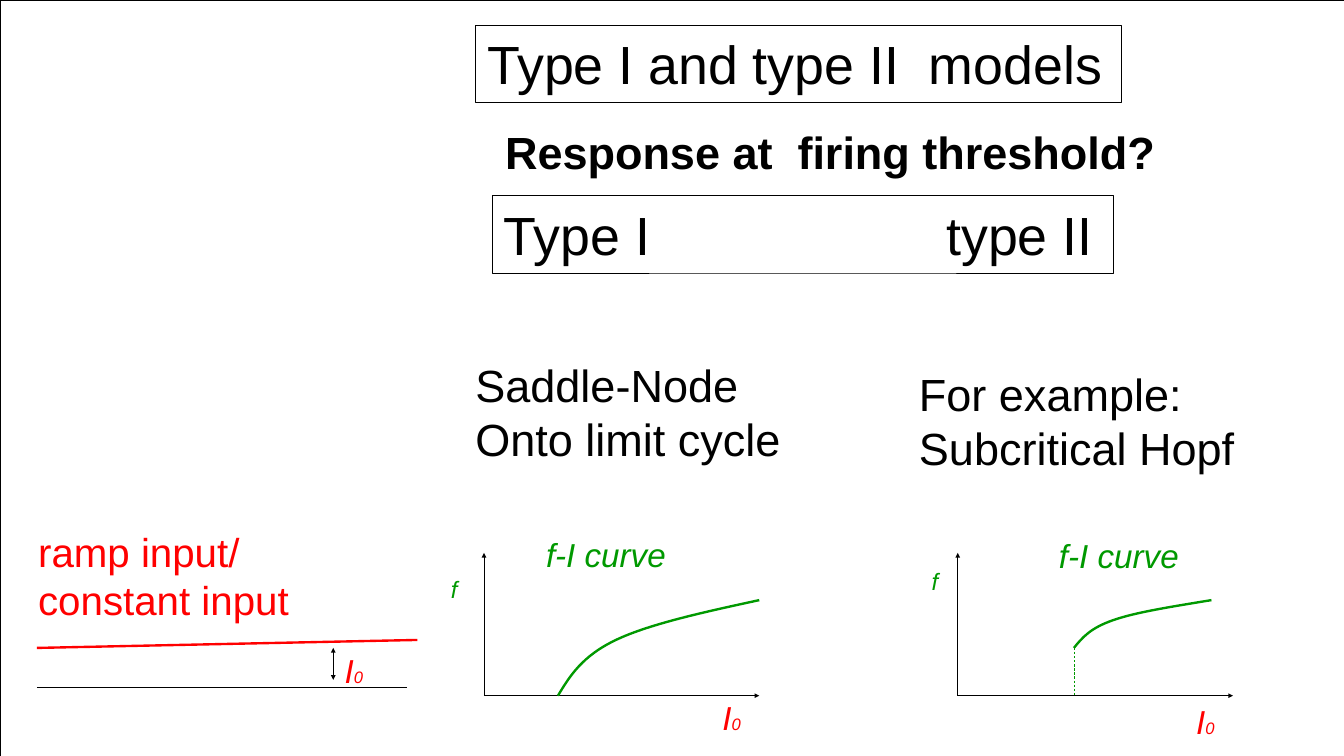
from lxml.etree import SubElement
from pptx import Presentation
from pptx.dml.color import RGBColor
from pptx.enum.dml import MSO_LINE
from pptx.enum.shapes import MSO_CONNECTOR, MSO_SHAPE
from pptx.enum.text import MSO_ANCHOR, MSO_AUTO_SIZE, PP_ALIGN
from pptx.oxml.ns import qn
from pptx.util import Pt

BLACK = RGBColor(0, 0, 0)
RED = RGBColor(255, 0, 0)
GREEN = RGBColor(0, 153, 0)

SLIDE_SIZE = (1701.4, 956.9)
WIDE_INSETS = (15.1, 7.6)
NARROW_INSETS = (7.2, 3.6)
TYPE_TAB = 560
THIN, THICK = 0.75, 3

HEADING = {"size": Pt(68), "color": BLACK}
QUESTION = {"size": Pt(57), "color": BLACK, "bold": True}
EXAMPLE = {"size": Pt(57), "color": BLACK}
INPUT = {"size": Pt(51), "color": RED}
CURRENT = {"size": Pt(42), "color": RED, "italic": True}
CURRENT_INDEX = {**CURRENT, "size": Pt(21)}
CURVE_NAME = {"size": Pt(42), "color": GREEN, "italic": True}
FREQUENCY = {"size": Pt(30), "color": GREEN, "italic": True}

TITLE = ("Type I and type II  models", (601.9, 31.7, 817.2, 97.9))
TYPES = ("Type I\ttype II", (622.8, 247.7, 786.2, 97.9))
TEXTS = [
    (["Response at  firing threshold?"], (624.2, 149.8, 863.3, 84.2), QUESTION, WIDE_INSETS),
    (["ramp input/", "constant input"], (33.1, 659.5, 351.4, 139), INPUT, WIDE_INSETS),
    (["Saddle-Node", "Onto limit cycle"], (594.7, 448.6, 404.6, 145.4), EXAMPLE, NARROW_INSETS),
    (["For example:", "Subcritical Hopf"], (1156.3, 460.1, 417.6, 145.4), EXAMPLE, NARROW_INSETS),
]
INPUT_LINES = [
    ((46.8, 870.5), (515.5, 870.5), BLACK, THIN, ()),
    ((46.8, 820.1), (528.5, 810), RED, THICK, ()),
    ((421.9, 820.1), (421.9, 860.4), BLACK, THIN, ("headEnd", "tailEnd")),
]
INPUT_CURRENT = (421.2, 815)

AXIS_Y, AXIS_TOP, AXIS_LENGTH = 880.6, 699.8, 348.5
PLOTS = [
    {
        "left": 612.7, "frequency": (-56.9, 720), "name": (63.4, 668.9),
        "current": (286.6, 874.8), "jump": None,
        "curve": [(93.6, 880.6), (108.7, 855.4), (124.6, 830.2), (167, 810),
                  (209.5, 789.8), (278.7, 774.7), (348.5, 759.6)],
    },
    {
        "left": 1212.5, "frequency": (-48.2, 709.9), "name": (113, 669.6),
        "current": (286.6, 880.6), "jump": (147, 820.1),
        "curve": [(147, 820.1), (157.7, 807.1), (167.7, 794.9), (197.3, 784.8),
                  (226.1, 774.7), (273.6, 767.5), (321.1, 759.6)],
    },
]


def add_run(paragraph, text, style):
    run = paragraph.add_run()
    run.text = text
    run.font.name = "Arial"
    for name, value in style.items():
        if name == "color":
            run.font.color.rgb = value
        else:
            setattr(run.font, name, value)


def set_line(shape, color, width):
    shape.line.color.rgb = color
    shape.line.width = Pt(width)


def place(shape, box):
    for name, value in zip(("left", "top", "width", "height"), box):
        setattr(shape, name, Pt(value))


def format_frame(shape, insets, wrap=False):
    across, down = (Pt(inset) for inset in insets)
    settings = {
        "margin_left": across, "margin_right": across,
        "margin_top": down, "margin_bottom": down,
        "word_wrap": wrap, "auto_size": MSO_AUTO_SIZE.NONE,
        "vertical_anchor": MSO_ANCHOR.TOP,
    }
    for name, value in settings.items():
        setattr(shape.text_frame, name, value)


def add_text(slide, lines, box, insets=WIDE_INSETS):
    shape = slide.shapes.add_textbox(*(Pt(value) for value in box))
    format_frame(shape, insets)
    frame = shape.text_frame
    for index, runs in enumerate(lines):
        paragraph = frame.add_paragraph() if index else frame.paragraphs[0]
        for text, style in runs:
            add_run(paragraph, text, style)


def add_current(slide, left, top):
    add_text(slide, [[("I", CURRENT), ("0", CURRENT_INDEX)]], (left, top, 54, 66.2))


def add_line(slide, start, end, color, width, arrows=()):
    connector = slide.shapes.add_connector(
        MSO_CONNECTOR.STRAIGHT, *(Pt(value) for value in start + end))
    set_line(connector, color, width)
    properties = connector.element.spPr
    for arrow in arrows:
        SubElement(properties.find(qn("a:ln")), qn("a:" + arrow), type="triangle")
    SubElement(properties, qn("a:effectLst"))
    return connector


def add_curve(slide, points):
    start, *rest = [(Pt(x), Pt(y)) for x, y in points]
    builder = slide.shapes.build_freeform(*start)
    builder.add_line_segments(rest, close=False)
    shape = builder.convert_to_shape()
    shape.shadow.inherit = False
    shape.fill.background()
    set_line(shape, GREEN, THICK)
    for outline in shape.element.iter(qn("a:path")):
        segments = outline.findall(qn("a:lnTo"))
        for first in range(0, len(segments), 3):
            bezier = SubElement(outline, qn("a:cubicBezTo"))
            for segment in segments[first:first + 3]:
                bezier.append(segment[0])
                outline.remove(segment)


def add_rectangle(slide, box):
    shape = slide.shapes.add_shape(MSO_SHAPE.RECTANGLE, *(Pt(value) for value in box))
    shape.shadow.inherit = False
    shape.fill.background()
    set_line(shape, BLACK, THIN)
    return shape


def add_plot(slide, plot):
    left = plot["left"]
    origin = (left, AXIS_Y)
    for end in ((left, AXIS_TOP), (left + AXIS_LENGTH, AXIS_Y)):
        add_line(slide, origin, end, BLACK, THIN, ("tailEnd",))
    if plot["jump"]:
        x, y = plot["jump"]
        jump = add_line(slide, (left + x, y), (left + x, AXIS_Y), GREEN, THIN)
        jump.line.dash_style = MSO_LINE.DASH
    add_curve(slide, [(left + x, y) for x, y in plot["curve"]])
    x, y = plot["frequency"]
    add_text(slide, [[("f", FREQUENCY)]], (left + x, y, 38.9, 51.8))
    x, y = plot["name"]
    add_text(slide, [[("f-I curve", CURVE_NAME)]], (left + x, y, 183.6, 66.2))
    x, y = plot["current"]
    add_current(slide, left + x, y)


def main():
    presentation = Presentation()
    presentation.slide_width, presentation.slide_height = (Pt(value) for value in SLIDE_SIZE)
    slide = presentation.slides.add_slide(presentation.slide_layouts[5])
    add_rectangle(slide, (0, 0, *SLIDE_SIZE))

    text, box = TITLE
    title = slide.shapes.title
    place(title, box)
    set_line(title, BLACK, THIN)
    format_frame(title, WIDE_INSETS)
    title.text_frame.paragraphs[0].alignment = PP_ALIGN.LEFT
    add_run(title.text_frame.paragraphs[0], text, HEADING)

    text, box = TYPES
    types = add_rectangle(slide, box)
    format_frame(types, WIDE_INSETS, wrap=True)
    paragraph = types.text_frame.paragraphs[0]
    paragraph.alignment = PP_ALIGN.LEFT
    tabs = SubElement(paragraph._p.get_or_add_pPr(), qn("a:tabLst"))
    SubElement(tabs, qn("a:tab"), pos=str(Pt(TYPE_TAB)), algn="l")
    add_run(paragraph, text, HEADING)

    for lines, box, style, insets in TEXTS:
        add_text(slide, [[(line, style)] for line in lines], box, insets)
    for line in INPUT_LINES:
        add_line(slide, *line)
    add_current(slide, *INPUT_CURRENT)
    for plot in PLOTS:
        add_plot(slide, plot)
    presentation.save("out.pptx")


if __name__ == "__main__":
    main()
